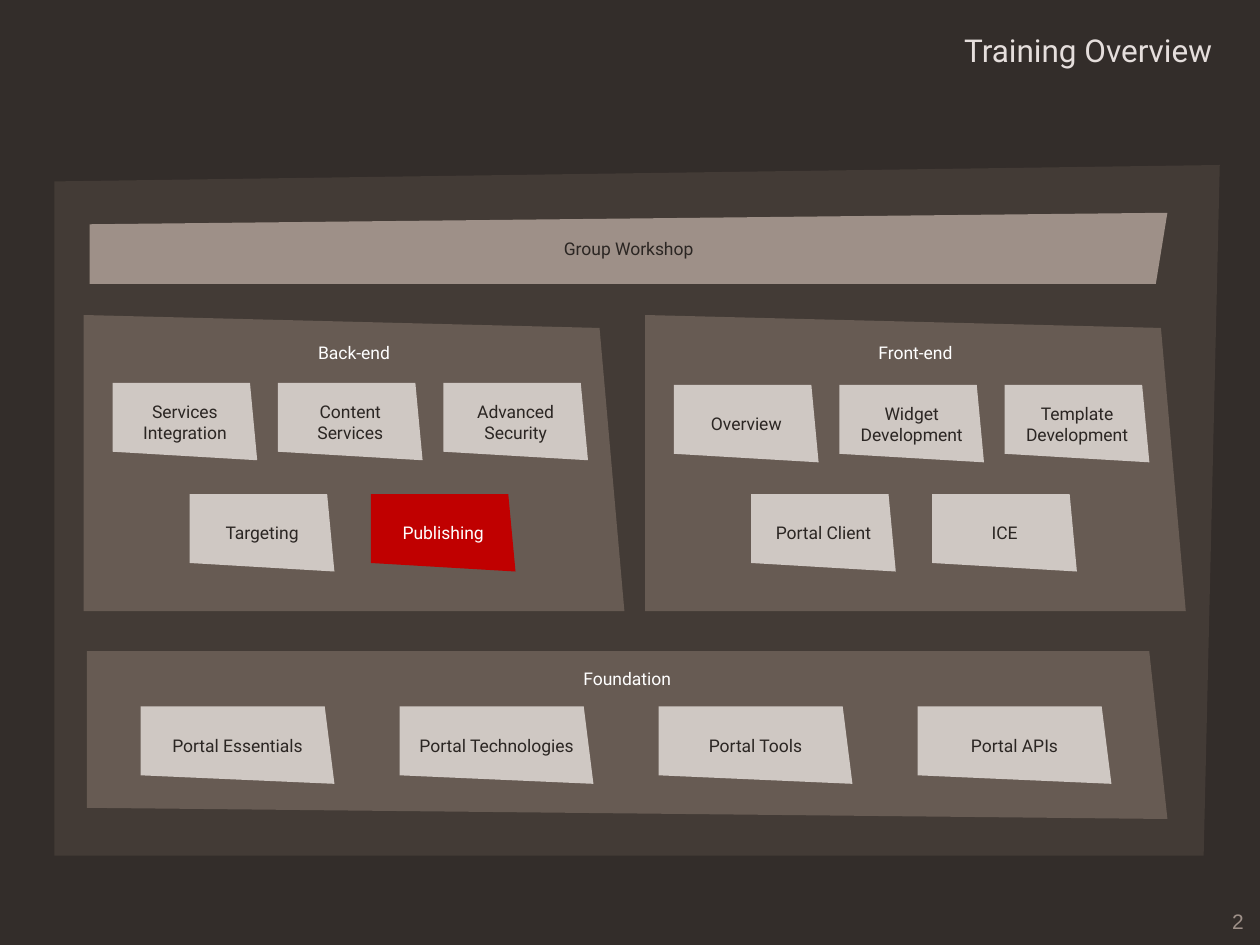
from dataclasses import dataclass

from pptx import Presentation
from pptx.dml.color import RGBColor
from pptx.enum.text import MSO_ANCHOR, PP_ALIGN
from pptx.shapes.base import BaseShape
from pptx.slide import Slide
from pptx.util import Pt

BACKGROUND = RGBColor(0x33, 0x2D, 0x2A)
BACKDROP = RGBColor(0x43, 0x3B, 0x36)
PANEL = RGBColor(0x67, 0x5B, 0x53)
TAUPE = RGBColor(0x9E, 0x90, 0x88)
CARD = RGBColor(0xCF, 0xC8, 0xC3)
HIGHLIGHT = RGBColor(0xC0, 0x00, 0x00)
TITLE = RGBColor(0xE5, 0xDE, 0xDC)
DARK = RGBColor(0x2B, 0x26, 0x23)
WHITE = RGBColor(0xFF, 0xFF, 0xFF)

CARD_HEIGHT = 44.2
Point = tuple[float, float]


@dataclass(frozen=True)
class CardRow:
    labels: tuple[str, ...]
    left: float
    top: float
    step: float
    width: float = 82.7
    highlighted: str = ""


@dataclass(frozen=True)
class Panel:
    label: str
    corners: tuple[Point, ...]
    label_inset: float
    rows: tuple[CardRow, ...]


def track_panel(label: str, left: float, first_row_top: float, first_labels: tuple[str, ...],
                second_labels: tuple[str, ...], highlighted: str = "") -> Panel:
    """Describe a panel with three cards above two."""
    corners = ((left, 180), (left + 294.8, 187.4), (left + 309, 349.2), (left, 349.2))
    rows = (
        CardRow(first_labels, left + 16.5, first_row_top, 94.5),
        CardRow(second_labels, left + 60.6, 282.4, 103.5, highlighted=highlighted),
    )
    return Panel(label, corners, 15.6, rows)


PANELS = (
    Panel(
        "Foundation",
        ((49.7, 372.1), (656.7, 372.1), (667.1, 468), (49.7, 461.6)),
        9.6,
        (CardRow(("Portal Essentials", "Portal Technologies", "Portal Tools", "Portal APIs"),
                 80.3, 403.7, 148, width=110.8),),
    ),
    track_panel("Front-end", 368.6, 220,
                ("Overview", "Widget\vDevelopment", "Template\nDevelopment"),
                ("Portal Client", "ICE")),
    track_panel("Back-end", 47.8, 218.8,
                ("Services\nIntegration", "Content\nServices", "Advanced\nSecurity"),
                ("Targeting", "Publishing"), highlighted="Publishing"),
)


def write_text(shape: BaseShape, text: str, *, color: RGBColor, size: float = 10,
               font: str = "Roboto", align: PP_ALIGN = PP_ALIGN.CENTER,
               anchor: MSO_ANCHOR = MSO_ANCHOR.MIDDLE, top_inset: float = 3.6,
               wrap: bool = False) -> None:
    frame = shape.text_frame
    frame.word_wrap = wrap
    frame.vertical_anchor = anchor
    frame.margin_left = frame.margin_right = Pt(7.2)
    frame.margin_top, frame.margin_bottom = Pt(top_inset), Pt(3.6)
    frame.text = text
    for paragraph in frame.paragraphs:
        paragraph.alignment = align
        for run in paragraph.runs:
            run.font.name = font
            run.font.size = Pt(size)
            run.font.color.rgb = color


def add_polygon(slide: Slide, corners: tuple[Point, ...], fill: RGBColor) -> BaseShape:
    start, *others = [(Pt(x), Pt(y)) for x, y in corners]
    builder = slide.shapes.build_freeform(*start)
    builder.add_line_segments(others, close=True)
    shape = builder.convert_to_shape()
    shape.shadow.inherit = False
    shape.fill.solid()
    shape.fill.fore_color.rgb = fill
    shape.line.fill.background()
    return shape


def add_card_row(slide: Slide, row: CardRow) -> None:
    for index, label in enumerate(row.labels):
        left = row.left + index * row.step
        corners = (
            (left, row.top),
            (left + 0.95 * row.width, row.top),
            (left + row.width, row.top + CARD_HEIGHT),
            (left, row.top + 0.89 * CARD_HEIGHT),
        )
        highlighted = label == row.highlighted
        card = add_polygon(slide, corners, HIGHLIGHT if highlighted else CARD)
        write_text(card, label, color=WHITE if highlighted else DARK)


def add_panel(slide: Slide, panel: Panel) -> None:
    shape = add_polygon(slide, panel.corners, PANEL)
    write_text(shape, panel.label, color=WHITE, anchor=MSO_ANCHOR.TOP,
               top_inset=panel.label_inset)
    for row in panel.rows:
        add_card_row(slide, row)


def main() -> None:
    presentation = Presentation()
    presentation.slide_width, presentation.slide_height = Pt(720), Pt(540)
    slide = presentation.slides.add_slide(presentation.slide_layouts[6])
    slide.background.fill.solid()
    slide.background.fill.fore_color.rgb = BACKGROUND

    title = slide.shapes.add_textbox(Pt(206.6), Pt(14.4), Pt(493.2), Pt(28.8))
    write_text(title, "Training Overview", color=TITLE, size=18, align=PP_ALIGN.RIGHT,
               anchor=MSO_ANCHOR.TOP, wrap=True)
    page_number = slide.shapes.add_textbox(Pt(586), Pt(516.2), Pt(131.8), Pt(20.2))
    write_text(page_number, "2", color=TAUPE, size=12, font="Arial",
               align=PP_ALIGN.RIGHT, wrap=True)

    add_polygon(slide, ((31, 103.7), (697, 94.3), (687.8, 489), (31, 489)), BACKDROP)
    for panel in PANELS:
        add_panel(slide, panel)
    workshop = add_polygon(
        slide, ((51.3, 128.2), (667.1, 121.6), (660.5, 162.2), (51.3, 162.2)), TAUPE)
    write_text(workshop, "Group Workshop", color=DARK)

    presentation.save("out.pptx")


if __name__ == "__main__":
    main()
